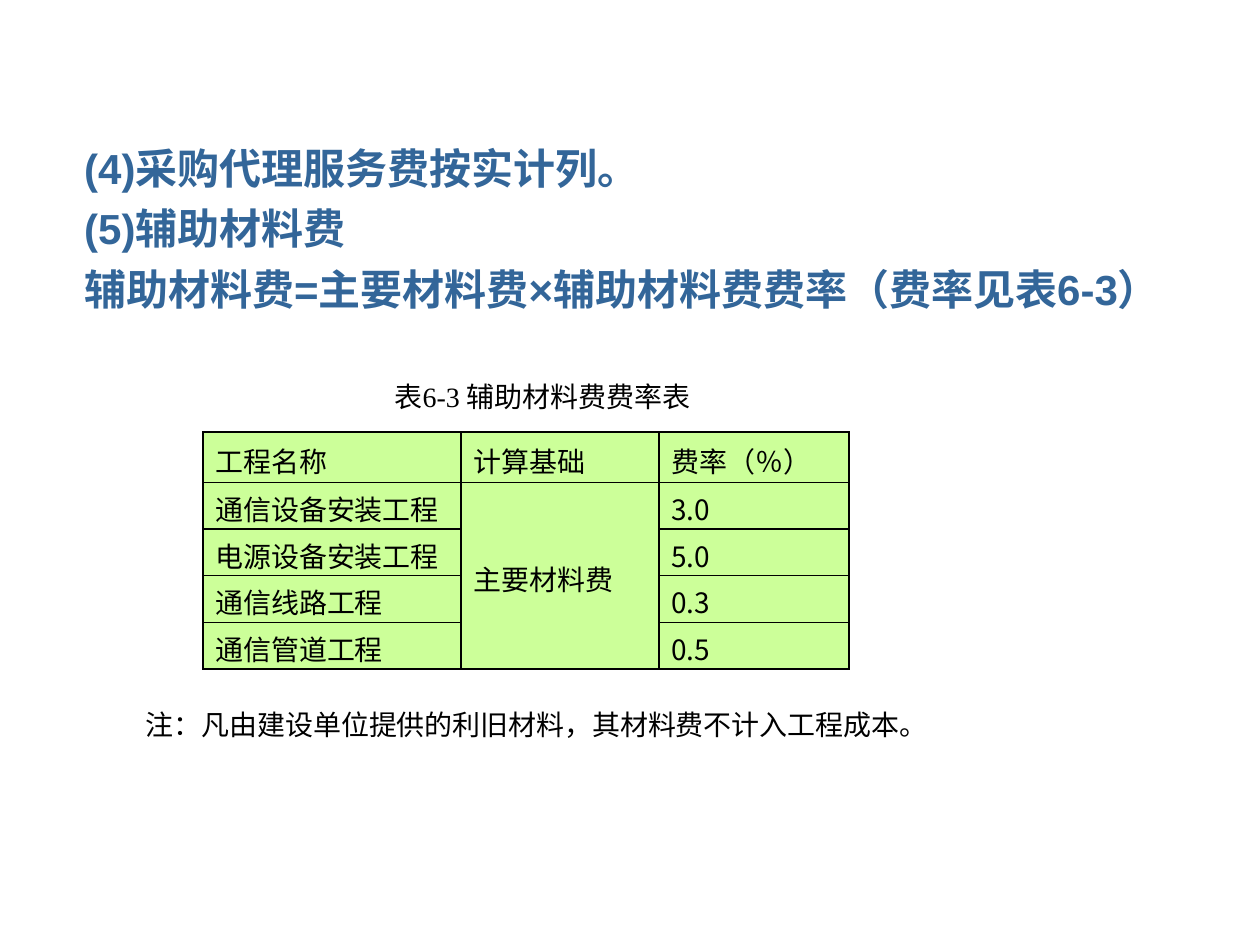
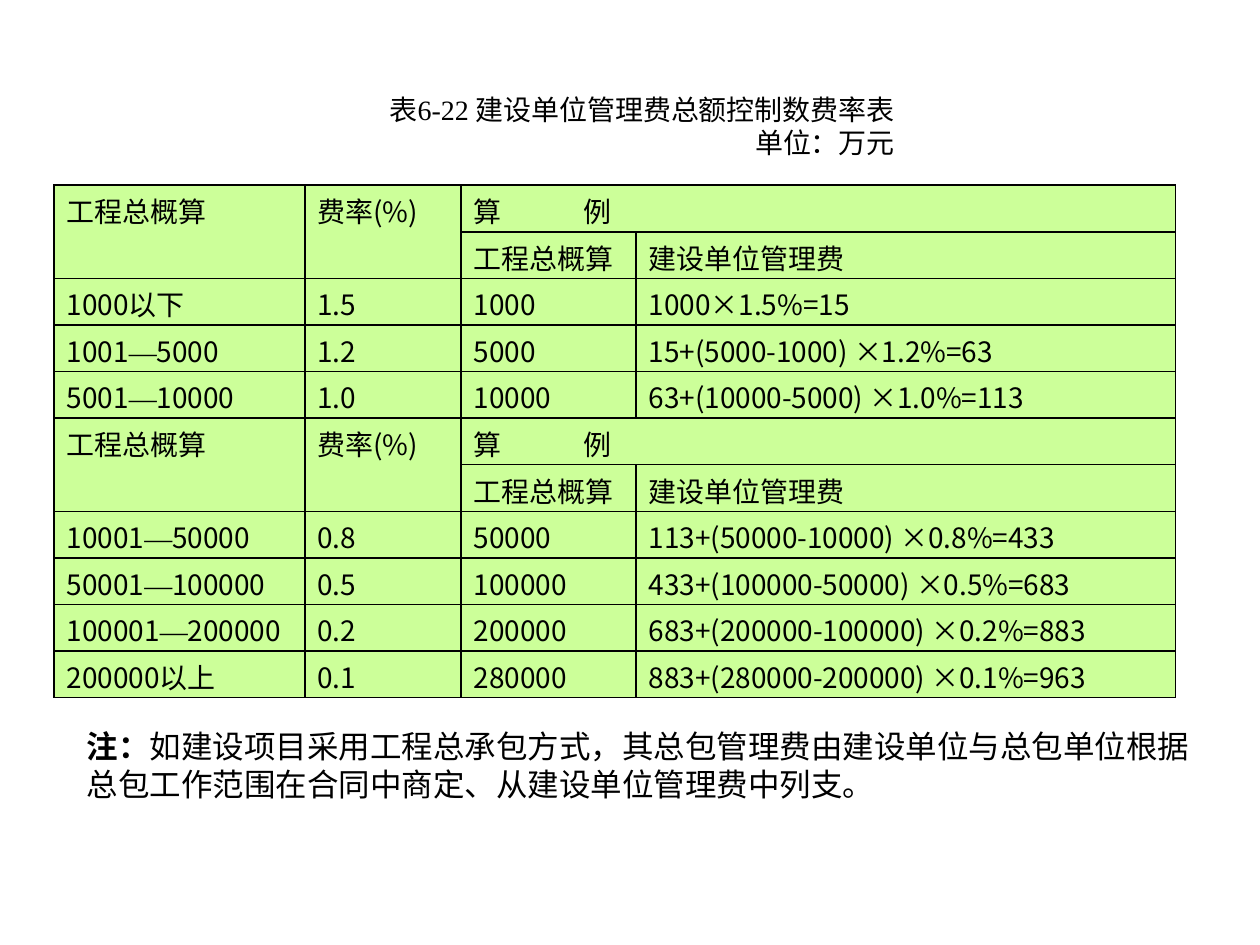
from dataclasses import dataclass

import pptx
import pptx.dml.color
import pptx.enum.text
import pptx.oxml
import pptx.oxml.ns
import pptx.util
from lxml import etree

PX = 9144  # EMU in one px: 100 px to the inch
ALIGN = pptx.enum.text.PP_ALIGN
ANCHOR = pptx.enum.text.MSO_ANCHOR


@dataclass(frozen=True)
class Theme:
    ink: str = "000000"
    heading: str = "336699"
    cell: str = "CCFF99"
    heading_font: str = "Arial"
    caption_font: str = "Times New Roman"
    table_font: str = "Noto Sans CJK SC"
    heading_size: int = 24
    note_size: int = 18
    text_size: int = 16
    border: int = 1


THEME = Theme()

RATE_ROWS = [
    ["工程名称", "计算基础", "费率（％）"],
    ["通信设备安装工程", "主要材料费", "3.0"],
    ["电源设备安装工程", "", "5.0"],
    ["通信线路工程", "", "0.3"],
    ["通信管道工程", "", "0.5"],
]
FEE_HEADER = [
    ["工程总概算", "费率(%)", "算\t例", ""],
    ["", "", "工程总概算", "建设单位管理费"],
]
FEE_ROWS = [
    *FEE_HEADER,
    ["1000以下", "1.5", "1000", "1000×1.5%=15"],
    ["1001—5000", "1.2", "5000", "15+(5000-1000) ×1.2%=63"],
    ["5001—10000", "1.0", "10000", "63+(10000-5000) ×1.0%=113"],
    *FEE_HEADER,
    ["10001—50000", "0.8", "50000", "113+(50000-10000) ×0.8%=433"],
    ["50001—100000", "0.5", "100000", "433+(100000-50000) ×0.5%=683"],
    ["100001—200000", "0.2", "200000", "683+(200000-100000) ×0.2%=883"],
    ["200000以上", "0.1", "280000", "883+(280000-200000) ×0.1%=963"],
]


def px(*lengths):
    return [pptx.util.Emu(length * PX) for length in lengths]


def add_span(para, text, font, size, color=THEME.ink, bold=False):
    span = para.add_run()
    span.text = text
    span.font.name = font
    span.font.size = pptx.util.Pt(size)
    span.font.bold = bold
    span.font.color.rgb = pptx.dml.color.RGBColor.from_string(color)
    return span


def add_box(slide, place, paragraphs, font, size, color=THEME.ink,
            align=ALIGN.LEFT, indent=0, line_spacing=None, top_inset=5):
    """Each paragraph is a list of (text, bold) pairs."""
    box = slide.shapes.add_textbox(*px(*place))
    frame = box.text_frame
    frame.word_wrap = True
    frame.auto_size = pptx.enum.text.MSO_AUTO_SIZE.SHAPE_TO_FIT_TEXT
    frame.vertical_anchor = ANCHOR.MIDDLE
    frame.margin_top = px(top_inset)[0]
    for index, pieces in enumerate(paragraphs):
        para = frame.add_paragraph() if index else frame.paragraphs[0]
        para.alignment = align
        para.line_spacing = line_spacing
        if indent:
            para._p.get_or_add_pPr().set("indent", str(indent * PX))
        for text, bold in pieces:
            add_span(para, text, font, size, color, bold)


def add_tab_stop(para, position):
    stops = etree.SubElement(para._p.get_or_add_pPr(), pptx.oxml.ns.qn("a:tabLst"))
    etree.SubElement(stops, pptx.oxml.ns.qn("a:tab"), pos=str(position * PX), algn="l")


def set_borders(cell):
    properties = cell._tc.get_or_add_tcPr()
    width = pptx.util.Pt(THEME.border)
    for side in "LRTB":
        properties.append(pptx.oxml.parse_xml(
            f'<a:ln{side} {pptx.oxml.ns.nsdecls("a")} w="{width}"><a:solidFill>'
            f'<a:srgbClr val="{THEME.ink}"/></a:solidFill></a:ln{side}>'))


def fill_cell(cell, text, anchor):
    set_borders(cell)
    cell.fill.solid()
    cell.fill.fore_color.rgb = pptx.dml.color.RGBColor.from_string(THEME.cell)
    cell.vertical_anchor = anchor
    cell.margin_left, cell.margin_top, cell.margin_right, cell.margin_bottom = px(10, 4, 10, 0)
    para = cell.text_frame.paragraphs[0]
    if "\t" in text:
        add_tab_stop(para, 87)
    for piece in text.partition("—"):
        if piece:
            font = THEME.caption_font if piece == "—" else THEME.table_font
            span = add_span(para, piece, font, THEME.text_size)
            if font == THEME.table_font:
                etree.SubElement(span.font._element, pptx.oxml.ns.qn("a:ea"), typeface=font)
    if not text:
        para.font.size = pptx.util.Pt(THEME.text_size)


def add_grid(slide, left, top, widths, heights, rows, merges, anchor):
    """Each merge is (first row, first column, last row, last column)."""
    frame = slide.shapes.add_table(len(rows), len(widths),
                                   *px(left, top, sum(widths), sum(heights)))
    table = frame.table
    table.first_row = table.horz_banding = False
    for column, width in zip(table.columns, px(*widths)):
        column.width = width
    for row, height in zip(table.rows, px(*heights)):
        row.height = height
    for r, texts in enumerate(rows):
        for c, text in enumerate(texts):
            fill_cell(table.cell(r, c), text, anchor)
    for r1, c1, r2, c2 in merges:
        table.cell(r1, c1).merge(table.cell(r2, c2))


def add_material_slide(deck, layout):
    slide = deck.slides.add_slide(layout)
    lines = ["(4)采购代理服务费按实计列。", "(5)辅助材料费",
             "辅助材料费=主要材料费×辅助材料费费率（费率见表6-3）"]
    add_box(slide, (27, 52, 918, 202), [[(line, True)] for line in lines],
            THEME.heading_font, THEME.heading_size, THEME.heading,
            indent=30, line_spacing=1.2, top_inset=53)
    add_box(slide, (303, 296, 255, 37), [[("表6-3 辅助材料费费率表", False)]],
            THEME.caption_font, THEME.text_size, align=ALIGN.CENTER)
    add_grid(slide, 161, 343, [205, 157, 151], [40] + [37] * 4, RATE_ROWS,
             [(1, 1, 4, 1)], ANCHOR.MIDDLE)
    add_box(slide, (106, 556, 649, 37),
            [[("注：凡由建设单位提供的利旧材料，其材料费不计入工程成本。", False)]],
            THEME.caption_font, THEME.text_size)


def add_management_slide(deck, layout):
    slide = deck.slides.add_slide(layout)
    add_box(slide, (273, 68, 447, 64),
            [[("表6-22 建设单位管理费总额控制数费率表", False)], [("单位：万元", False)]],
            THEME.caption_font, THEME.text_size, align=ALIGN.RIGHT, indent=25)
    merges = []
    for top in (0, 5):
        merges += [(top, 0, top + 1, 0), (top, 1, top + 1, 1), (top, 2, top, 3)]
    add_grid(slide, 43, 147, [199, 124, 139, 428], [37] * len(FEE_ROWS), FEE_ROWS,
             merges, ANCHOR.TOP)
    add_box(slide, (59, 572, 898, 70),
            [[("注：", True),
              ("如建设项目采用工程总承包方式，其总包管理费由建设单位与总包单位根据"
               "总包工作范围在合同中商定、从建设单位管理费中列支。", False)]],
            THEME.table_font, THEME.note_size)


def main():
    deck = pptx.Presentation()
    deck.slide_width, deck.slide_height = px(1000, 750)
    blank = deck.slide_layouts[6]
    add_material_slide(deck, blank)
    add_management_slide(deck, blank)
    deck.save("out.pptx")


if __name__ == "__main__":
    main()
